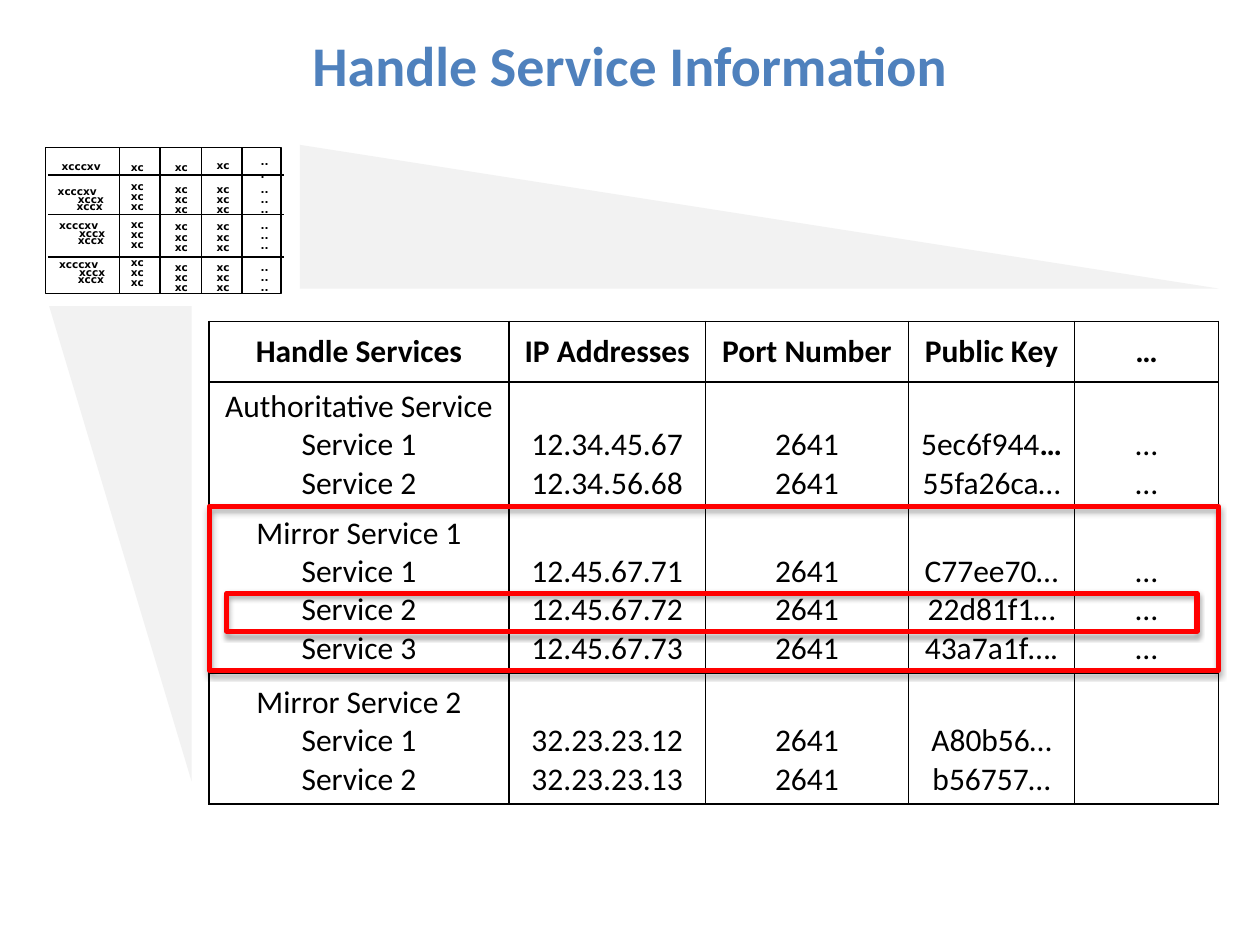
from dataclasses import dataclass
from lxml.etree import SubElement
from pptx import Presentation
from pptx.dml.color import RGBColor
from pptx.enum.shapes import MSO_CONNECTOR, MSO_SHAPE
from pptx.enum.text import MSO_ANCHOR, MSO_AUTO_SIZE, PP_ALIGN
from pptx.oxml.ns import qn
from pptx.util import Inches, Pt


@dataclass(frozen=True)
class Theme:
    """Colours, fonts and type sizes of the slide."""
    ink: RGBColor = RGBColor(0, 0, 0)
    paper: RGBColor = RGBColor(255, 255, 255)
    title: RGBColor = RGBColor(0x4F, 0x81, 0xBD)
    beam: RGBColor = RGBColor(0xF2, 0xF2, 0xF2)
    mark: RGBColor = RGBColor(255, 0, 0)
    body_font: str = "Calibri"
    small_font: str = "DejaVu Sans"
    title_size: int = 32
    body_size: int = 18
    small_size: int = 6


THEME = Theme()
COLUMN_WIDTHS = (2.38, 1.56, 1.61, 1.32, 1.14)
ROW_HEIGHTS = (0.48, 1, 1.31, 1.04)
SERVICES = (
    (["Handle Services"], ["IP Addresses"], ["Port Number"], ["Public Key"], ["…"]),
    (["Authoritative Service", "Service 1", "Service 2"],
     ["12.34.45.67", "12.34.56.68"], ["2641"] * 2,
     ["5ec6f944*…", "55fa26ca…"], ["…"] * 2),
    (["Mirror Service 1", "Service 1", "Service 2", "Service 3"],
     ["12.45.67.71", "12.45.67.72", "12.45.67.73"], ["2641"] * 3,
     ["C77ee70…22d81f1…", "43a7a1f…."], ["…"] * 3),
    (["Mirror Service 2", "Service 1", "Service 2"],
     ["32.23.23.12", "32.23.23.13"], ["2641"] * 2,
     ["A80b56…", "b56757…"], []),
)
THUMBNAIL_COLUMNS = (
    (0.58, "xc", "xc", 0.06, (0.21, 0.51, 0.81)),
    (0.93, "xc", "xc", 0.06, (0.23, 0.53, 0.85)),
    (1.26, "xc", "xc", 0.04, (0.23, 0.53, 0.85)),
    (1.61, "...", "..", 0.06, (0.23, 0.52, 0.85)),
)
WORD_WIDTHS = {"xcccxv": 0.51, "xccx": 0.41, "xc": 0.31, "...": 0.29, "..": 0.26}


def apply(target, **values):
    """Set each named attribute on the target."""
    for name, value in values.items():
        setattr(target, name, value)


def write(para, text, size, font, color, bold=False):
    """Add a formatted span to a paragraph."""
    span = para.add_run()
    span.text = text
    apply(span.font, size=Pt(size), name=font, bold=bold)
    span.font.color.rgb = color


def add_title(page, box, text):
    """Place the centred slide title in the box."""
    frame = page.shapes.add_textbox(*map(Inches, box)).text_frame
    apply(frame, word_wrap=True, vertical_anchor=MSO_ANCHOR.TOP, margin_top=Inches(0.07))
    para = frame.paragraphs[0]
    para.alignment = PP_ALIGN.CENTER
    write(para, text, THEME.title_size, THEME.body_font, THEME.title, True)


def add_beam(page, box, rotation=0):
    """Place a pale triangle that leads from the thumbnail to the table."""
    beam = page.shapes.add_shape(MSO_SHAPE.RIGHT_TRIANGLE, *map(Inches, box))
    apply(beam, rotation=rotation)
    beam.shadow.inherit = False
    beam.fill.solid()
    beam.fill.fore_color.rgb = THEME.beam
    beam.line.fill.background()


def add_rule(group, start, end):
    """Draw one thin straight line of the thumbnail."""
    rule = group.shapes.add_connector(MSO_CONNECTOR.STRAIGHT, *map(Inches, start + end))
    rule.line.color.rgb = THEME.ink
    rule.line.width = Pt(0.75)
    SubElement(rule._element.spPr, qn("a:effectLst"))


def add_word(group, left, top, text):
    """Place one tiny word of the thumbnail."""
    box = left, top, WORD_WIDTHS[text], 0.2
    frame = group.shapes.add_textbox(*map(Inches, box)).text_frame
    apply(frame, word_wrap=False, vertical_anchor=MSO_ANCHOR.MIDDLE,
          auto_size=MSO_AUTO_SIZE.SHAPE_TO_FIT_TEXT)
    write(frame.paragraphs[0], text, THEME.small_size, THEME.small_font, THEME.ink, True)


def add_thumbnail(page, box):
    """Draw the miniature table as a group inside the box."""
    left, top, width, height = box
    group = page.shapes.add_group_shape()
    back = group.shapes.add_shape(MSO_SHAPE.RECTANGLE, *map(Inches, box))
    back.shadow.inherit = False
    back.fill.solid()
    back.fill.fore_color.rgb = THEME.paper
    back.line.color.rgb = THEME.ink
    back.line.width = Pt(0.75)
    for down in (0.22, 0.53, 0.87):
        add_rule(group, (left + 0.02, top + down), (left + width + 0.02, top + down))
    for across in (0.59, 0.91, 1.24, 1.56):
        add_rule(group, (left + across, top), (left + across, top + height))
    add_word(group, left + 0.03, top + 0.05, "xcccxv")
    for across, down in ((0, 0.25), (0.01, 0.52), (0.01, 0.83)):
        for shift, drop, text in ((0, 0, "xcccxv"), (0.16, 0.06, "xccx"), (0.15, 0.12, "xccx")):
            add_word(group, left + across + shift, top + down + drop, text)
    for across, heading, text, heading_down, downs in THUMBNAIL_COLUMNS:
        add_word(group, left + across, top + heading_down, heading)
        for down in downs:
            for line in range(3):
                add_word(group, left + across, top + down + line * 0.08, text)


def fill_cell(cell, lines, heading):
    """Border a table cell and write its lines, with text after a star in bold."""
    apply(cell, margin_top=Inches(0.04), margin_bottom=Inches(0.04),
          vertical_anchor=MSO_ANCHOR.MIDDLE if heading else MSO_ANCHOR.BOTTOM)
    properties = cell._tc.get_or_add_tcPr()
    for side in ("lnL", "lnR", "lnT", "lnB"):
        border = SubElement(properties, qn(f"a:{side}"), w=str(Pt(1)))
        paint = SubElement(border, qn("a:solidFill"))
        SubElement(paint, qn("a:srgbClr"), val=str(THEME.ink))
    cell.fill.background()
    frame = cell.text_frame
    for index, line in enumerate(lines):
        para = frame.add_paragraph() if index else frame.paragraphs[0]
        para.alignment = PP_ALIGN.CENTER
        for part, text in enumerate(line.split("*")):
            write(para, text, THEME.body_size, THEME.body_font, THEME.ink,
                  heading or part == 1)


def add_services(page, box):
    """Place the table of handle services in the box."""
    table = page.shapes.add_table(
        len(SERVICES), len(COLUMN_WIDTHS), *map(Inches, box)).table
    apply(table, first_row=False, horz_banding=False)
    for column, width in zip(table.columns, COLUMN_WIDTHS):
        column.width = Inches(width)
    for index, (row, height) in enumerate(zip(table.rows, ROW_HEIGHTS)):
        row.height = Inches(height)
        for cell, lines in zip(row.cells, SERVICES[index]):
            fill_cell(cell, lines, index == 0)


def add_highlight(page, box):
    """Frame the box in red with a soft shadow below."""
    mark = page.shapes.add_shape(MSO_SHAPE.RECTANGLE, *map(Inches, box))
    mark.fill.background()
    mark.line.color.rgb = THEME.mark
    mark.line.width = Pt(3)
    mark.shadow.inherit = False
    effects = mark._element.spPr.find(qn("a:effectLst"))
    shadow = SubElement(effects, qn("a:outerShdw"), blurRad=str(Pt(3.1)),
                        dist=str(Pt(1.8)), dir="5400000", rotWithShape="0")
    color = SubElement(shadow, qn("a:srgbClr"), val=str(THEME.ink))
    SubElement(color, qn("a:alpha"), val="35000")


def main():
    """Build and save the slide."""
    deck = Presentation()
    apply(deck, slide_width=Inches(10), slide_height=Inches(7.5))
    page = deck.slides.add_slide(deck.slide_layouts[6])
    add_title(page, (0.5, 0.17, 9, 0.83), "Handle Service Information")
    add_beam(page, (0.39, 2.43, 1.13, 3.77), 180)
    add_beam(page, (2.38, 1.15, 7.29, 1.14))
    add_thumbnail(page, (0.36, 1.17, 1.87, 1.16))
    add_services(page, (1.66, 2.55, 8.01, 3.83))
    add_highlight(page, (1.66, 4.02, 8.01, 1.3))
    add_highlight(page, (1.8, 4.71, 7.7, 0.3))
    deck.save("out.pptx")


if __name__ == "__main__":
    main()
